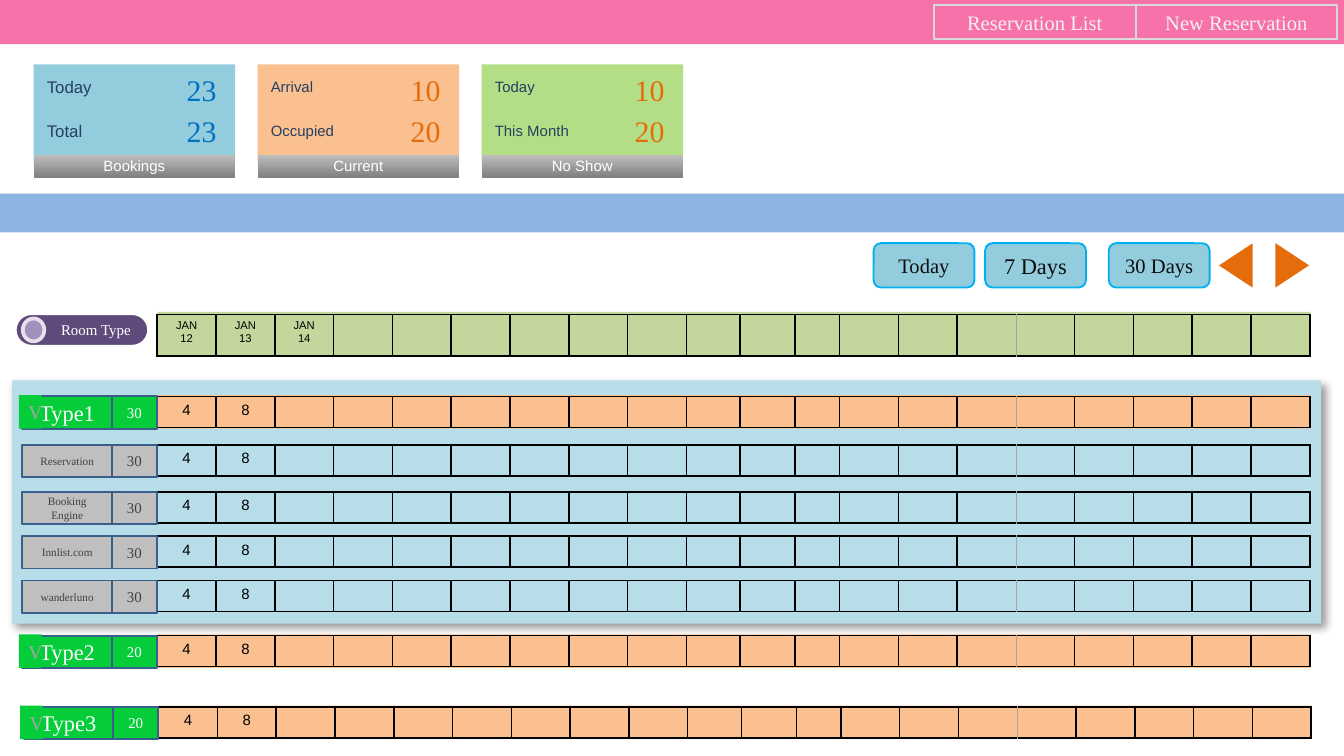
from lxml.etree import SubElement
from pptx import Presentation
from pptx.dml.color import RGBColor
from pptx.enum.shapes import MSO_SHAPE as Shape
from pptx.enum.text import MSO_ANCHOR as Anchor, PP_ALIGN as Align
from pptx.oxml.ns import qn
from pptx.util import Inches, Pt

SERIF, SANS = "Times New Roman", "Arial"
COLORS = {
    "pink": "F771AA", "panel": "B7DEE8", "band": "8EB4E3", "sky": "93CDDD",
    "peach": "FAC090", "lime": "B4DE86", "sage": "C3D69B", "green": "05CD39",
    "silver": "BFBFBF", "gray": "808080", "muted": "A6A6A6", "pale": "D9D9D9",
    "white": "FFFFFF", "offwhite": "F2F2F2", "black": "000000", "ink": "0D0D0D",
    "charcoal": "404040", "navy": "254061", "steel": "3A5F8C", "blue": "0070C0",
    "cyan": "00B0F0", "orange": "E46C0A", "purple": "604A7B", "lilac": "A38FBB",
    "mist": "E6E0EC",
}
GRID_LEFT, GRID_WIDTH, DAYS = 1.17, 8.58, 20
NARROW_DAYS = {9: 0.4, 10: 0.41, 11: 0.33}
DAY_WIDTH = (GRID_WIDTH - sum(NARROW_DAYS.values())) / (DAYS - len(NARROW_DAYS))
MONTH_BREAK = 15


def rgb(name):
    """Return the named colour."""
    return RGBColor.from_string(COLORS[name])


def write(para, text, size, font, color, align=Align.CENTER):
    """Add one styled run to a paragraph."""
    para.alignment = align
    span = para.add_run()
    span.text = text
    span.font.size, span.font.name = Pt(size), font
    span.font.color.rgb = rgb(color)


def label(box, text, size, font, color, align=Align.CENTER):
    """Put one vertically centred line of text in a box."""
    box.text_frame.word_wrap = True
    box.text_frame.vertical_anchor = Anchor.MIDDLE
    write(box.text_frame.paragraphs[0], text, size, font, color, align)


def add_box(shapes, at, fill=None, line=None, width=1, kind=Shape.RECTANGLE):
    """Add a flat preset shape with optional fill and outline."""
    box = shapes.add_shape(kind, *map(Inches, at))
    box.shadow.inherit = False
    if fill:
        box.fill.solid()
        box.fill.fore_color.rgb = rgb(fill)
    else:
        box.fill.background()
    if line:
        box.line.color.rgb, box.line.width = rgb(line), Pt(width)
    else:
        box.line.fill.background()
    return box


def add_panel(shapes):
    """Add the backing of the open room type with its soft shadow."""
    panel = add_box(shapes, (0.09, 2.83, 9.74, 1.81), "panel")
    effects = panel._element.spPr.find(qn("a:effectLst"))
    shadow = SubElement(effects, qn("a:outerShdw"), blurRad=str(Pt(4)),
                        dist=str(Pt(3)), dir="2700000", algn="tl", rotWithShape="0")
    tint = SubElement(shadow, qn("a:srgbClr"), val=COLORS["black"])
    SubElement(tint, qn("a:alpha"), val="40000")


def add_text(shapes, at, *style):
    """Add a text box."""
    label(shapes.add_textbox(*map(Inches, at)), *style)


def add_card(shapes, base, left, fill, title, rows, size, color):
    """Add a summary card: its base shapes, two counts and a title strip."""
    add_box(base, (left, 0.48, 1.5, 0.75), fill)
    strip = add_box(base, (left, 1.15, 1.5, 0.17), "silver")
    strip.fill.gradient()
    strip.fill.gradient_angle = 270
    for stop, tone, position in zip(strip.fill.gradient_stops, ("silver", "gray"), (0, 1)):
        stop.color.rgb, stop.position = rgb(tone), position
    label(strip, title, 8, SANS, "white")
    for (name, count), top, count_top in zip(rows, (0.48, 0.81), (0.5, 0.81)):
        add_text(shapes, (left, top, 1, 0.33), name, size, SANS, "navy", Align.LEFT)
        add_text(shapes, (left + 1, count_top, 0.5, 0.33), count, 16, SERIF, color)


def add_cards(shapes):
    """Add the three summary cards, the first two with grouped bases."""
    cards = (
        ("sky", "Bookings", (("Today", "23"), ("Total", "23")), 9, "blue"),
        ("peach", "Current", (("Arrival", "10"), ("Occupied", "20")), 8, "orange"),
        ("lime", "No Show", (("Today", "10"), ("This Month", "20")), 8, "orange"),
    )
    for index, card in enumerate(cards):
        base = shapes.add_group_shape().shapes if index < 2 else shapes
        add_card(shapes, base, 0.25 + index * 5 / 3, *card)


def set_borders(cell, day):
    """Outline a day cell, with a faint line at the month break."""
    props = cell._tc.get_or_add_tcPr()
    faint = {"lnR": MONTH_BREAK - 1, "lnL": MONTH_BREAK}
    for side in ("lnL", "lnR", "lnT", "lnB"):
        color, width = ("muted", 0.25) if faint.get(side) == day else ("black", 1)
        line = SubElement(props, qn(f"a:{side}"), w=str(Pt(width)))
        SubElement(SubElement(line, qn("a:solidFill")), qn("a:srgbClr"), val=COLORS[color])


def add_days(shapes, left, top, height, entries, size):
    """Add a one-row table of days; each entry is a list of lines."""
    frame = shapes.add_table(1, DAYS, *map(Inches, (left, top, GRID_WIDTH, height)))
    table = frame.table
    table.first_row = table.horz_banding = False
    table.rows[0].height = Inches(height)
    for day in range(DAYS):
        table.columns[day].width = Inches(NARROW_DAYS.get(day, DAY_WIDTH))
        cell = table.cell(0, day)
        set_borders(cell, day)
        cell.fill.background()
        cell.margin_left = cell.margin_right = cell.margin_top = Inches(0.04)
        cell.margin_bottom = 0
        lines = entries[day] if day < len(entries) else []
        for number, text in enumerate(lines):
            frame_text = cell.text_frame
            para = frame_text.add_paragraph() if number else frame_text.paragraphs[0]
            write(para, text, size, SANS, "black")
        if not lines:
            SubElement(cell.text_frame.paragraphs[0]._p, qn("a:endParaRPr"), sz=str(size * 100))


def add_row(shapes, top, name, count, fill, color, size, shift=0.0):
    """Add the name, room count and day cells of one row."""
    add_days(shapes, GRID_LEFT + shift, top, 0.23, [["4"], ["8"]], 8)
    for left, width, text, points in ((1 / 6, 2 / 3, name, size), (5 / 6, 1 / 3, count, 8)):
        box = add_box(shapes, (left + shift, top, width, 0.24), fill, "steel")
        label(box, text, points, SERIF, color)


def add_room_type(shapes, top, name, count, shift=0.0):
    """Add a room type row with its strip and fold marker."""
    add_box(shapes, (GRID_LEFT + shift, top - 0.01, GRID_WIDTH, 0.25), "peach")
    add_row(shapes, top, name, count, "green", "white", 12, shift)
    marker = add_box(shapes, (0.14 + shift, top - 0.01, 0.17, 0.25), "green")
    label(marker, "V", 10.5, SERIF, "muted")


def add_controls(shapes):
    """Add the header buttons, period buttons and arrows."""
    for left, text in ((6.95, "Reservation List"), (8.45, "New Reservation")):
        label(add_box(shapes, (left, 0.04, 1.5, 0.25), line="pale"), text, 11, SERIF, "offwhite")
    for left, text, size in ((6.5, "Today", 11), (7.33, "7 Days", 12), (8.25, "30 Days", 11)):
        button = add_box(shapes, (left, 1.81, 0.75, 0.33), "sky", "cyan",
                         kind=Shape.ROUNDED_RECTANGLE)
        label(button, text, size, SERIF, "ink")
    for left, turn in ((9.03, 270), (9.45, 90)):
        arrow = add_box(shapes, (left, 1.85, 0.33, 0.25), "orange", kind=Shape.ISOSCELES_TRIANGLE)
        arrow.rotation = turn


def add_calendar_head(shapes):
    """Add the room type switch and the date row."""
    add_box(shapes, (GRID_LEFT, 2.32, GRID_WIDTH, 0.33), "sage")
    add_days(shapes, GRID_LEFT, 2.34, 0.31, [["JAN", str(date)] for date in (12, 13, 14)], 6)
    switch = add_box(shapes, (0.11, 2.33, 1, 0.25), "purple", "white", 2, Shape.ROUNDED_RECTANGLE)
    switch.adjustments[0] = 0.5
    label(switch, "Room Type", 8, SERIF, "white", Align.RIGHT)
    add_box(shapes, (0.17, 2.37, 0.16, 0.17), "lilac", "mist", 2, Shape.OVAL)


def main():
    """Build the reservation dashboard."""
    deck = Presentation()
    deck.slide_width, deck.slide_height = Inches(10), Inches(10 * 9 / 16)
    page = deck.slides.add_slide(deck.slide_layouts[6])
    shapes = page.shapes
    add_panel(shapes)
    add_box(shapes, (0, 0, 10, 0.33), "pink")
    add_box(shapes, (0, 1.44, 10, 0.29), "band")
    add_cards(shapes)
    add_controls(shapes)
    add_calendar_head(shapes)
    add_room_type(shapes, 2.95, "Type1", "30")
    channels = ("Reservation", "Booking Engine", "Innlist.com", "wanderluno")
    for top, channel in zip((3.31, 3.66, 3.99, 4.32), channels):
        add_row(shapes, top, channel, "30", "silver", "charcoal", 6)
    add_room_type(shapes, 4.73, "Type2", "20")
    add_room_type(shapes, 5.26, "Type3", "20", 0.01)
    deck.save("out.pptx")


if __name__ == "__main__":
    main()
